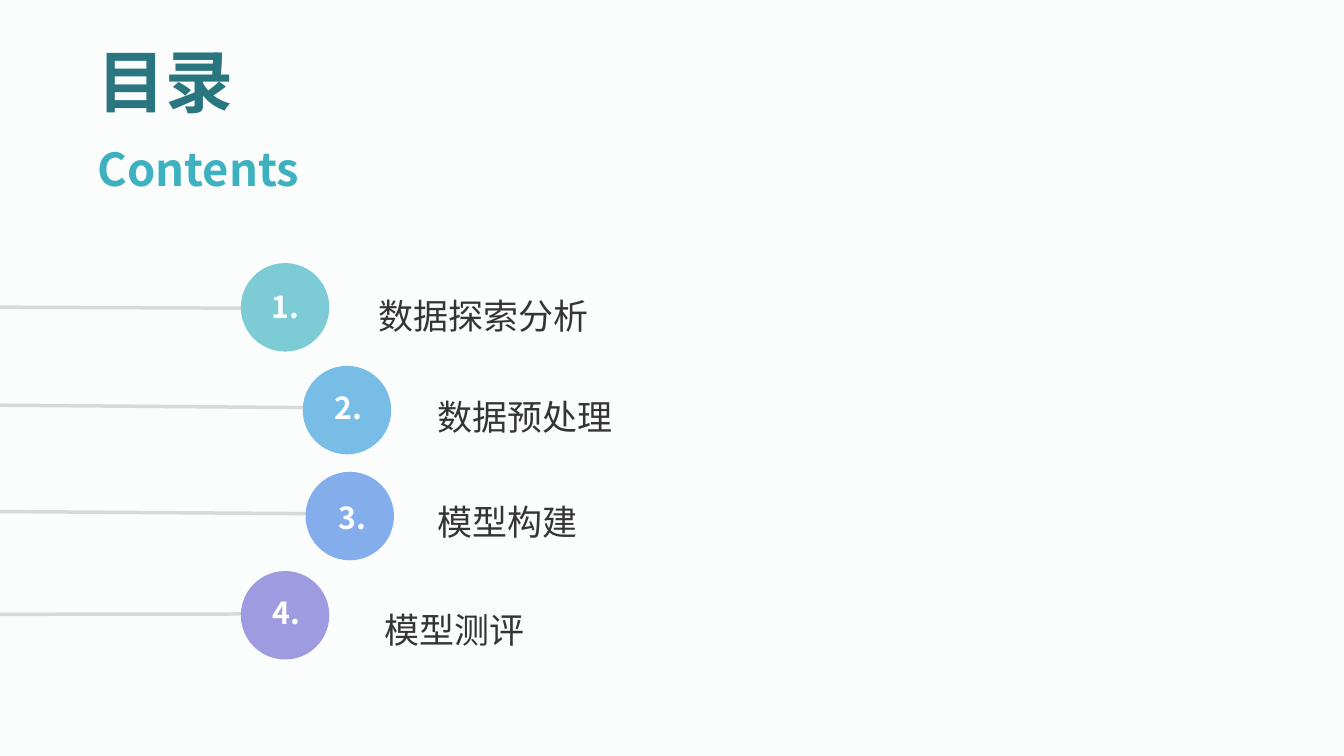
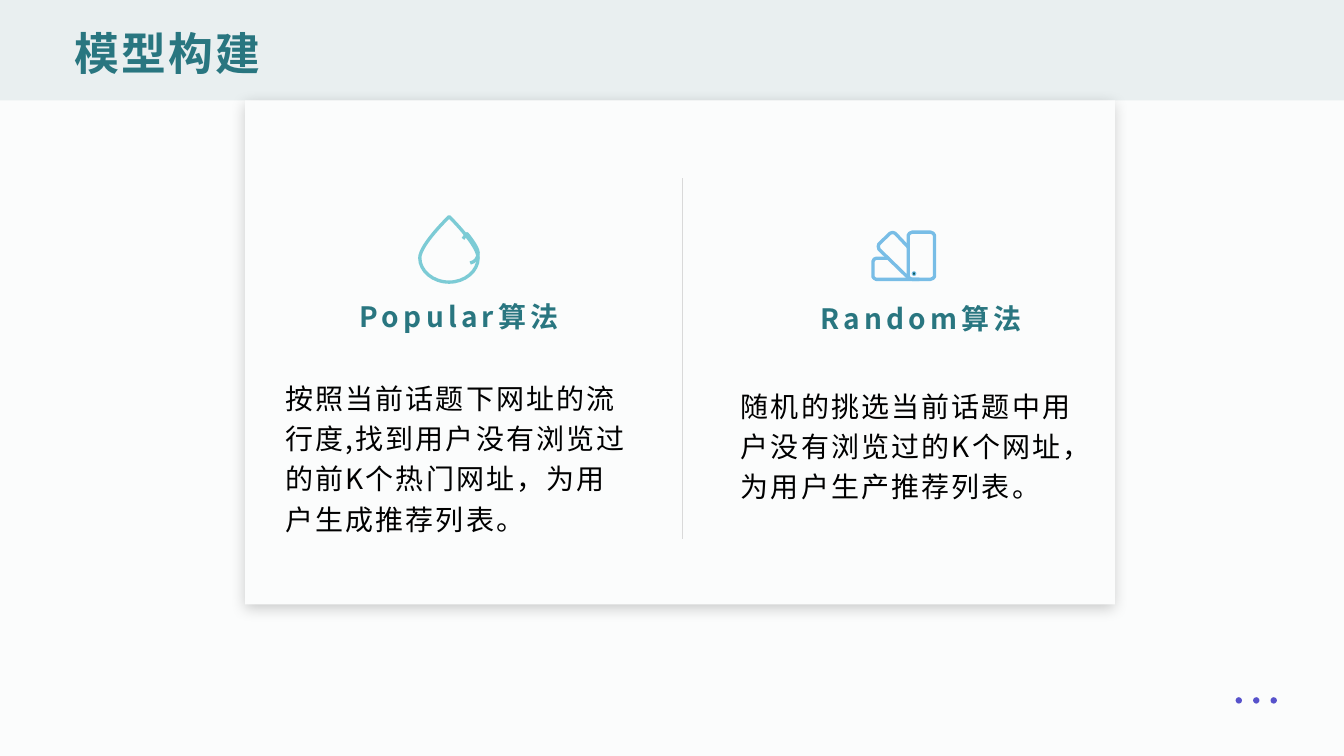
from dataclasses import dataclass

from lxml import etree
from pptx import Presentation
from pptx.dml.color import RGBColor
from pptx.enum.shapes import MSO_CONNECTOR, MSO_SHAPE
from pptx.enum.text import MSO_ANCHOR, PP_ALIGN
from pptx.oxml.ns import qn
from pptx.util import Cm, Pt

RECT, OVAL = MSO_SHAPE.RECTANGLE, MSO_SHAPE.OVAL
STRAIGHT = MSO_CONNECTOR.STRAIGHT
TOP, MIDDLE, BOTTOM = MSO_ANCHOR.TOP, MSO_ANCHOR.MIDDLE, MSO_ANCHOR.BOTTOM
LEFT, CENTER = PP_ALIGN.LEFT, PP_ALIGN.CENTER


@dataclass(frozen=True)
class Theme:
    font: str = "Noto Sans CJK SC"
    paper: str = "FBFCFC"
    band: str = "E9EFF0"
    heading: str = "297680"
    accent: str = "3DB1BF"
    rule: str = "D9D9D9"
    label: str = "353535"
    body: str = "000000"
    white: str = "FFFFFF"
    dots: str = "5752CB"
    pivot: str = "03595D"
    teal: str = "7CCBD5"
    sky: str = "78BDE6"
    blue: str = "84ADEB"
    violet: str = "9E9BE1"
    contents_size: float = 48.6
    subtitle_size: float = 32.4
    title_size: float = 32
    label_size: float = 25
    number_size: float = 21.6
    body_size: float = 20


THEME = Theme()
WIDTH, HEIGHT = 33.87, 19.05

# Contents: label, colour, circle, number and label (left, top), line (start y, end y)
CONTENTS_TITLE, CONTENTS_SUBTITLE = "目录", "Contents"
CHAPTERS = [
    ("数据探索分析", THEME.teal, (6.07, 6.63), (6.6, 7.13), (9.3, 7.29), (7.74, 7.77)),
    ("数据预处理", THEME.sky, (7.63, 9.22), (8.18, 9.67), (10.77, 9.84), (10.21, 10.28)),
    ("模型构建", THEME.blue, (7.7, 11.89), (8.28, 12.45), (10.77, 12.48), (12.89, 12.95)),
    ("模型测评", THEME.violet, (6.07, 14.39), (6.62, 14.85), (9.44, 15.2), (15.48, 15.47)),
]
CIRCLE = 2.23

# Icon strokes in hundredths of a cm: start, then lines (x, y) or Bezier curves (6 numbers)
DROP = [
    [(147, 104), (147, 137, 114, 165, 74, 165), (33, 165, 0, 137, 0, 104),
     (0, 71, 74, 0, 74, 0), (74, 0, 147, 71, 147, 104)],
    [(109, 56), (114, 48, 119, 43, 119, 43), (119, 43, 147, 76, 147, 91),
     (147, 104, 140, 114, 127, 117)],
]
SWATCHES = [
    [(41, 66), (8, 66), (5, 66, 0, 69, 0, 74), (0, 112),
     (0, 114, 5, 119, 8, 119), (117, 119)],
    [(89, 38), (56, 3), (53, 0, 46, 0, 43, 3), (15, 30),
     (13, 33, 13, 38, 15, 43), (91, 117)],
    [(145, 119), (150, 119, 155, 114, 155, 112), (155, 8), (155, 5, 150, 0, 145, 0),
     (99, 0), (94, 0, 89, 5, 89, 8), (89, 112), (89, 114, 94, 119, 99, 119), (145, 119)],
]

# Algorithms: heading, its place, description, its place, icon, its place, icon colour
MODEL_TITLE = "模型构建"
ALGORITHMS = [
    ("Popular算法", (6.94, 7.3),
     "按照当前话题下网址的流行度,找到用户没有浏览过的前K个热门网址，为用户生成推荐列表。",
     (6.94, 9.31), DROP, (10.58, 5.46), THEME.teal),
    ("Random算法", (18.58, 7.35),
     "随机的挑选当前话题中用户没有浏览过的K个网址，为用户生产推荐列表。",
     (18.42, 9.51), SWATCHES, (22, 5.85), THEME.sky),
]
COLUMN = 9.27


def rgb(color):
    return RGBColor.from_string(color)


def write(shape, text, size, color, bold=False, spacing=0, align=LEFT, anchor=TOP,
          line_spacing=None, wrap=True, inset=(0.25, 0.13)):
    frame = shape.text_frame
    frame.word_wrap, frame.vertical_anchor = wrap, anchor
    frame.margin_left = frame.margin_right = Cm(inset[0])
    frame.margin_top = frame.margin_bottom = Cm(inset[1])
    paragraph = frame.paragraphs[0]
    paragraph.alignment = align
    if line_spacing:
        paragraph.line_spacing = line_spacing
    run = paragraph.add_run()
    run.text = text
    run.font.name, run.font.size, run.font.bold = THEME.font, Pt(size), bold
    run.font.color.rgb = rgb(color)
    properties = run.font._element
    if spacing:
        properties.set("spc", str(int(spacing * 100)))
    # The East Asian typeface follows the Latin one
    east_asian = etree.Element(qn("a:ea"), typeface=THEME.font)
    properties.find(qn("a:latin")).addnext(east_asian)


def add_text(slide, text, left, top, width, height, **text_format):
    box = slide.shapes.add_textbox(Cm(left), Cm(top), Cm(width), Cm(height))
    write(box, text, **text_format)


def add_filled(slide, kind, left, top, width, height, color):
    shape = slide.shapes.add_shape(kind, Cm(left), Cm(top), Cm(width), Cm(height))
    shape.shadow.inherit = False
    shape.fill.solid()
    shape.fill.fore_color.rgb = rgb(color)
    shape.line.fill.background()
    return shape


def add_rule(slide, start, end, weight):
    rule = slide.shapes.add_connector(STRAIGHT, *map(Cm, start + end))
    rule.line.color.rgb = rgb(THEME.rule)
    rule.line.width = Pt(weight)
    etree.SubElement(rule._element.spPr, qn("a:effectLst"))


def cast_shadow(shape, blur, distance, opacity):
    effects = shape._element.spPr.find(qn("a:effectLst"))
    shadow = etree.SubElement(
        effects, qn("a:outerShdw"), blurRad=str(Pt(blur)), dist=str(Pt(distance)),
        dir=str(90 * 60000), algn="t", rotWithShape="0")
    color = etree.SubElement(shadow, qn("a:srgbClr"), val="000000")
    etree.SubElement(color, qn("a:alpha"), val=str(opacity * 1000))


def bend(outline, segments):
    """Merge each three line points that belong to a curve into one Bezier."""
    points = iter(list(outline._element.iter(qn("a:lnTo"))))
    for segment in segments:
        first = next(points)
        if len(segment) == 6:
            first.tag = qn("a:cubicBezTo")
            for _ in range(2):
                control = next(points)
                first.append(control[0])
                control.getparent().remove(control)


def add_icon(slide, strokes, left, top, color):
    for start, *segments in strokes:
        points = [segment[i:i + 2] for segment in segments
                  for i in range(0, len(segment), 2)]
        builder = slide.shapes.build_freeform(*start, scale=Cm(0.01))
        builder.add_line_segments(points, close=points[-1] == start)
        outline = builder.convert_to_shape(Cm(left), Cm(top))
        bend(outline, segments)
        outline.shadow.inherit = False
        outline.fill.background()
        outline.line.color.rgb = rgb(color)
        outline.line.width = Pt(2.38)


def build_contents(slide):
    add_text(slide, CONTENTS_SUBTITLE, 2.21, 3.43, 6.02, 1.8,
             size=THEME.subtitle_size, color=THEME.accent, bold=True)
    add_text(slide, CONTENTS_TITLE, 2.21, 0.87, 5.49, 2.57,
             size=THEME.contents_size, color=THEME.heading, bold=True)
    for number, chapter in enumerate(CHAPTERS, 1):
        label, color, (left, top), number_place, label_place, (start_y, end_y) = chapter
        add_rule(slide, (0, start_y), (left + CIRCLE / 2, end_y), 2.5)
        add_filled(slide, OVAL, left, top, CIRCLE, CIRCLE, color)
        add_text(slide, label, *label_place, 7.87, 1.45,
                 size=THEME.label_size, color=THEME.label)
        add_text(slide, f"{number}.", *number_place, 1.47, 1.27,
                 size=THEME.number_size, color=THEME.white, bold=True)


def build_model(slide):
    # Title band and card
    add_filled(slide, RECT, 0, 0, WIDTH, 2.53, THEME.band)
    add_text(slide, MODEL_TITLE, 1.69, 0.4, 30.48, 1.7, size=THEME.title_size,
             color=THEME.heading, bold=True, spacing=1.5, anchor=BOTTOM, inset=(0.2, 0.1))
    card = add_filled(slide, RECT, 6.18, 2.53, 21.92, 12.7, THEME.paper)
    cast_shadow(card, blur=10, distance=3, opacity=20)

    # Corner dots
    for index in range(3):
        add_filled(slide, OVAL, 31.14 + index * 0.44, 17.57, 0.16, 0.16, THEME.dots)
    add_rule(slide, (17.2, 4.49), (17.2, 13.57), 0.5)

    # One column per algorithm
    for heading, heading_place, text, text_place, icon, icon_place, color in ALGORITHMS:
        add_icon(slide, icon, *icon_place, color)
        add_text(slide, text, *text_place, COLUMN, 3.89, size=THEME.body_size,
                 color=THEME.body, spacing=1.5, line_spacing=1.2)
        add_text(slide, heading, *heading_place, COLUMN, 1.17, size=THEME.body_size,
                 color=THEME.heading, bold=True, spacing=3, line_spacing=1.2,
                 align=CENTER, anchor=MIDDLE, wrap=False)
    pivot = add_filled(slide, OVAL, 22.99, 6.85, 0.09, 0.09, THEME.pivot)
    pivot.line.color.rgb = rgb(THEME.sky)
    pivot.line.width = Pt(0.75)


def main():
    deck = Presentation()
    deck.slide_width, deck.slide_height = Cm(WIDTH), Cm(HEIGHT)
    paper = deck.slide_master.background.fill
    paper.solid()
    paper.fore_color.rgb = rgb(THEME.paper)
    blank = deck.slide_layouts[6]
    for build in (build_contents, build_model):
        build(deck.slides.add_slide(blank))
    deck.save("out.pptx")


if __name__ == "__main__":
    main()
